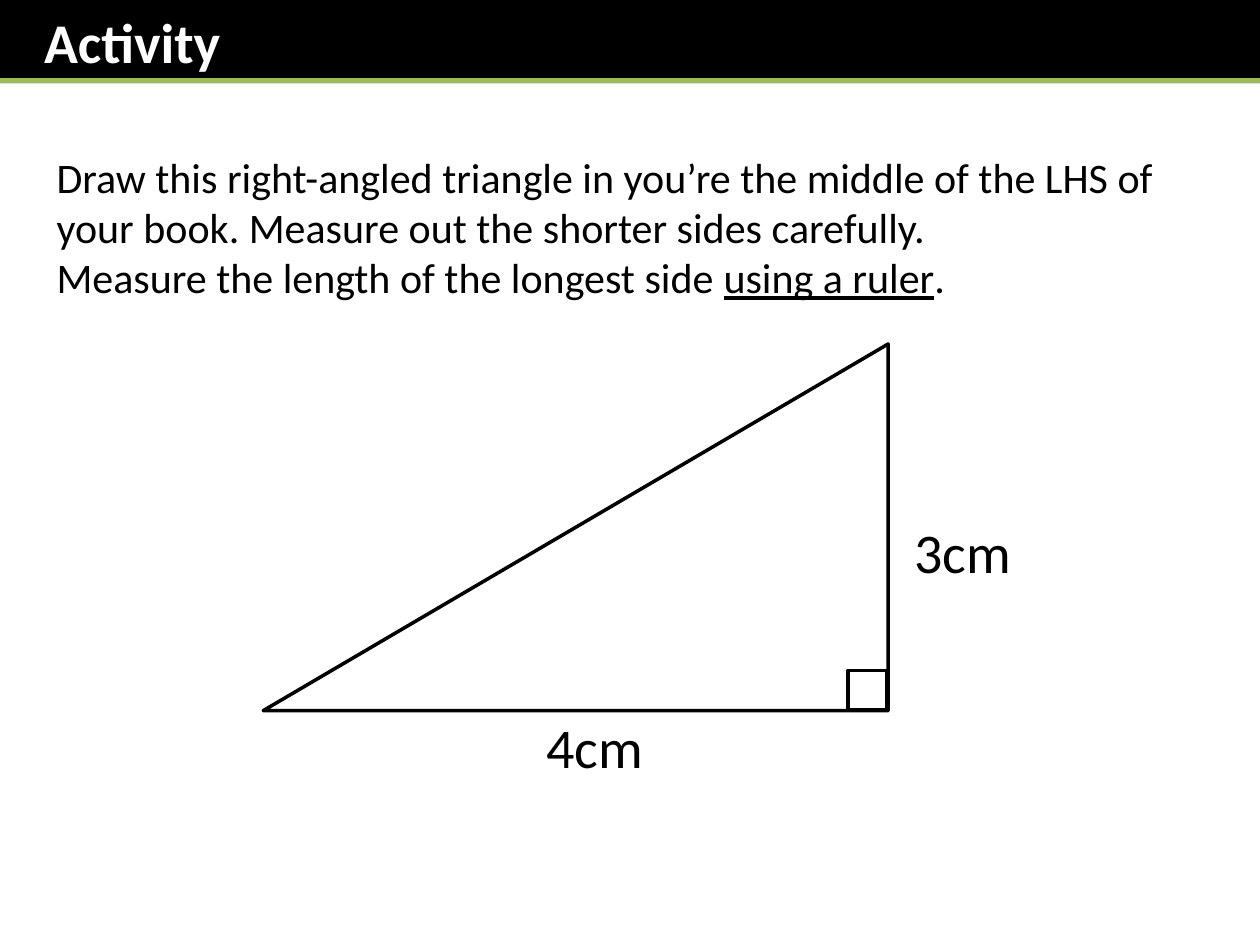
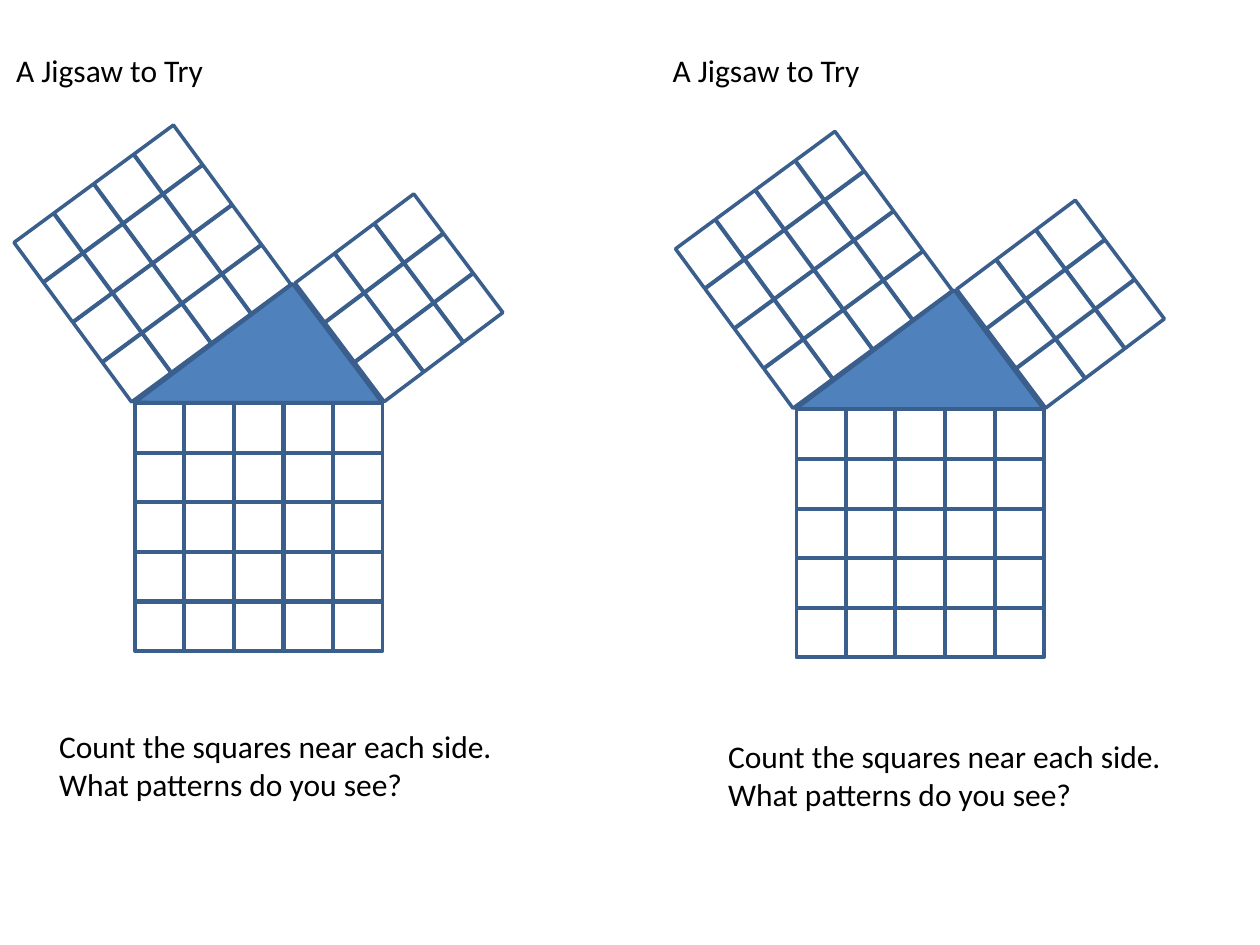
from math import cos, radians, sin

from lxml import etree
from pptx import Presentation
from pptx.dml.color import RGBColor
from pptx.enum.shapes import MSO_CONNECTOR, MSO_SHAPE
from pptx.enum.text import MSO_ANCHOR, MSO_AUTO_SIZE, PP_ALIGN
from pptx.oxml.ns import qn
from pptx.util import Inches, Pt

RECT = MSO_SHAPE.RECTANGLE
TRIANGLE = MSO_SHAPE.RIGHT_TRIANGLE
STRAIGHT = MSO_CONNECTOR.STRAIGHT
MIDDLE = MSO_ANCHOR.MIDDLE
GROW = MSO_AUTO_SIZE.SHAPE_TO_FIT_TEXT
LEFT = PP_ALIGN.LEFT
CENTER = PP_ALIGN.CENTER

FONT = "Calibri"
BLACK, WHITE, GREEN = "000000", "FFFFFF", "9BBB59"
BLUE, NAVY = "4F81BD", "3A5F8C"
WIDTH, HEIGHT = 10, 7.5
CELL, STEP = 0.39, 0.394


def color(code):
    """Turn a hex string into a colour."""
    return RGBColor.from_string(code)


class Deck:
    """Hold the shared style and the current slide."""

    def __init__(self):
        self.show = Presentation()
        self.show.slide_width = Inches(WIDTH)
        self.show.slide_height = Inches(HEIGHT)
        self.slide = None

    def page(self):
        """Start a blank slide."""
        self.slide = self.show.slides.add_slide(self.show.slide_layouts[6])

    def fill(self, frame, lines, size, ink=BLACK, align=LEFT, bold=False):
        """Fill a frame with lines, underlining parts between underscores."""
        frame.auto_size = GROW
        for n, line in enumerate(lines):
            para = frame.add_paragraph() if n else frame.paragraphs[0]
            para.alignment = align
            for m, part in enumerate(line.split("_")):
                run = para.add_run()
                run.text = part
                run.font.name = FONT
                run.font.size = Pt(size)
                run.font.bold = bold
                run.font.underline = m % 2 == 1
                run.font.color.rgb = color(ink)

    def text(self, box, lines, size, align=LEFT, wrap=True):
        """Add a text box."""
        frame = self.slide.shapes.add_textbox(*map(Inches, box)).text_frame
        frame.word_wrap = wrap
        self.fill(frame, lines, size, align=align)

    def shape(self, kind, box, fill=None, line=None, turn=0, flip=False):
        """Add a preset shape."""
        item = self.slide.shapes.add_shape(kind, *map(Inches, box))
        item.shadow.inherit = False
        if fill:
            item.fill.solid()
            item.fill.fore_color.rgb = color(fill)
        else:
            item.fill.background()
        if line:
            item.line.color.rgb = color(line)
            item.line.width = Pt(2)
        else:
            item.line.fill.background()
        item.rotation = turn
        if flip:
            item.element.spPr.get_or_add_xfrm().set("flipH", "1")
        return item

    def rule(self, start, end, ink, width):
        """Add a straight line."""
        item = self.slide.shapes.add_connector(STRAIGHT, *map(Inches, start + end))
        item.line.color.rgb = color(ink)
        item.line.width = Pt(width)
        etree.SubElement(item.element.spPr, qn("a:effectLst"))

    def title(self, words):
        """Add the title band with its rule."""
        band = self.shape(RECT, (0, 0, WIDTH, 0.66), BLACK)
        frame = band.text_frame
        frame.margin_left = Inches(0.35)
        frame.vertical_anchor = MIDDLE
        frame.word_wrap = True
        self.fill(frame, [words], 32, WHITE, bold=True)
        self.rule((0, 0.64), (WIDTH, 0.64), GREEN, 3)

    def grid(self, left, top, count, turn=0):
        """Add a square grid of cells turned about its first cell."""
        across = STEP * cos(radians(turn))
        down = STEP * sin(radians(turn))
        for row in range(count):
            for col in range(count):
                x = left + col * across - row * down
                y = top + col * down + row * across
                self.shape(RECT, (x, y, CELL, CELL), line=NAVY, turn=turn)

    def jigsaw(self, x, y):
        """Add a triangle with a grid on each side."""
        self.grid(x + 2.42, y + 2.09, 3, 323.1)
        self.grid(x + 1.14, y + 1.07, 4, 53.6)
        self.grid(x + 1.07, y + 3.2, 5)
        box = (x + 1.46, y + 2.41, 1.18, 1.57)
        self.shape(TRIANGLE, box, BLUE, NAVY, 233.1, True)


def draw(deck):
    """Build the triangle drawing task."""
    deck.page()
    deck.text((0.35, 1.15, 9.09, 1.31), [
        "Draw this right-angled triangle in you’re the middle of the LHS of "
        "your book. Measure out the shorter sides carefully.",
        "Measure the length of the longest side _using a ruler_.",
    ], 24)
    for x, y, side in ((4.13, 5.61, "4cm"), (7.05, 4.06, "3cm")):
        deck.text((x, y, 1.18, 0.64), [side], 32, CENTER)
    deck.shape(TRIANGLE, (2.09, 2.73, 4.96, 2.91), WHITE, BLACK, flip=True)
    deck.shape(RECT, (6.73, 5.32, 0.31, 0.31), WHITE, BLACK)
    deck.title("Activity")


def puzzle(deck):
    """Build the two jigsaws side by side."""
    deck.page()
    note = ["Count the squares near each side.", "What patterns do you see?"]
    halves = (
        ((0.03, 0.36), (0, 0), (0.37, 5.72)),
        ((5.24, 0.36), (5.25, 0.05), (5.68, 5.8)),
    )
    for head, place, foot in halves:
        deck.text(head + (1.7, 0.4), ["A Jigsaw to Try"], 18, wrap=False)
        deck.jigsaw(*place)
        deck.text(foot + (3.68, 0.71), note, 18, wrap=False)


def main():
    """Build and save the slides."""
    deck = Deck()
    draw(deck)
    puzzle(deck)
    deck.show.save("out.pptx")


if __name__ == "__main__":
    main()
